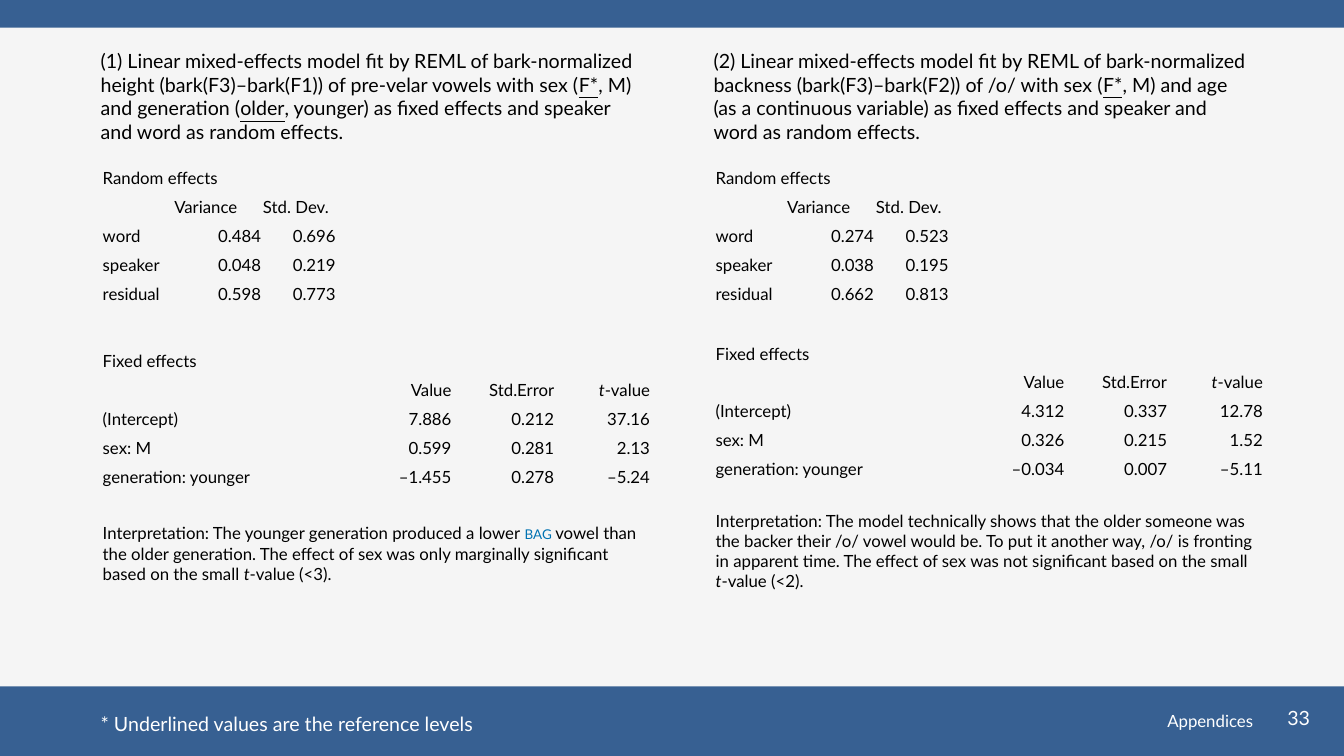
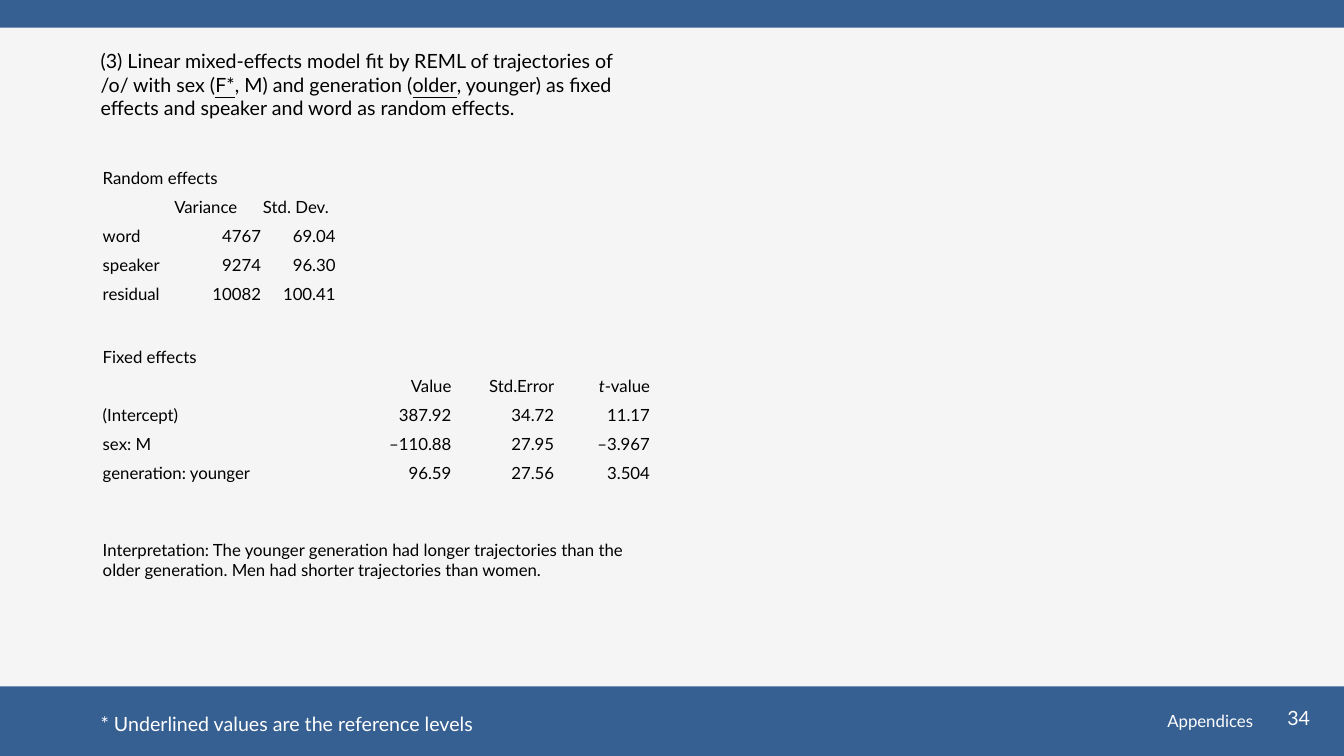
from pptx import Presentation
from pptx.dml.color import RGBColor
from pptx.enum.shapes import MSO_SHAPE
from pptx.enum.text import MSO_ANCHOR, MSO_AUTO_SIZE, PP_ALIGN
from pptx.util import Pt

RECT = MSO_SHAPE.RECTANGLE
TOP, MIDDLE, BOTTOM = MSO_ANCHOR.TOP, MSO_ANCHOR.MIDDLE, MSO_ANCHOR.BOTTOM
LEFT, CENTER, RIGHT = PP_ALIGN.LEFT, PP_ALIGN.CENTER, PP_ALIGN.RIGHT
GROW = MSO_AUTO_SIZE.SHAPE_TO_FIT_TEXT

WIDTH, HEIGHT = 960, 540
BLACK, WHITE, BLUE, PAPER, VOWEL = "000000", "FFFFFF", "376092", "F5F5F5", "0072B2"
NO_GRID = "{2D5ABB26-0587-4C30-8999-92F81FD0307C}"

# Page geometry, in points
COLUMNS = (64.8, 502.6)
COLUMN_W = 400.4
TABLE_INDENT = 7.9
CAPTION_Y, RANDOM_Y = 31.7, 113.8
ROW_H = 20.7
RANDOM_COLS = (51.1, 63.4, 53.3)
FIXED_COLS = (192.2, 58.3, 73.4, 68.4)

# Runs are plain strings or (text, style) pairs
UNDERLINE, ITALIC, SMALL_CAPS = "underline", "italic", "small caps"
SEX = ("F*", UNDERLINE)
OLDER = ("older", UNDERLINE)
T = ("t", ITALIC)


def rgb(value):
    return RGBColor.from_string(value)


class Deck:
    """Holds the style and the current slide."""
    font = "Lato"

    def __init__(self):
        self.prs = Presentation()
        self.prs.slide_width, self.prs.slide_height = Pt(WIDTH), Pt(HEIGHT)
        fill = self.prs.slide_master.background.fill
        fill.solid()
        fill.fore_color.rgb = rgb(PAPER)

    def slide(self, number):
        self.s = self.prs.slides.add_slide(self.prs.slide_layouts[6])
        self.band(0, 19.7)
        self.band(490.3, HEIGHT - 490.3)
        self.text(902.2, 500.4, 51, 28.8, [str(number)], color=WHITE, align=CENTER)
        self.text(578.2, 500.4, 324, 28.8, ["Appendices"], 12, WHITE, RIGHT, MIDDLE)
        self.text(COLUMNS[0], 504.7, 288, 24.5,
                  ["* Underlined values are the reference levels"],
                  color=WHITE, grow=True)

    def band(self, y, h):
        sp = self.s.shapes.add_shape(RECT, Pt(0), Pt(y), Pt(WIDTH), Pt(h))
        sp.shadow.inherit = False
        sp.fill.solid()
        sp.fill.fore_color.rgb = rgb(BLUE)
        sp.line.fill.background()

    def add_runs(self, p, runs, size, color, align):
        p.alignment = align
        for item in runs:
            text, style = (item, None) if isinstance(item, str) else item
            r = p.add_run()
            r.text = text
            f = r.font
            f.name, f.size, f.color.rgb = self.font, Pt(size), rgb(color)
            if style == UNDERLINE:
                f.underline = True
            elif style == ITALIC:
                f.italic = True
            elif style == SMALL_CAPS:
                f.color.rgb = rgb(VOWEL)
                r._r.get_or_add_rPr().set("cap", "small")

    def text(self, x, y, w, h, runs, size=14, color=BLACK, align=LEFT,
             anchor=TOP, grow=False):
        tf = self.s.shapes.add_textbox(Pt(x), Pt(y), Pt(w), Pt(h)).text_frame
        tf.word_wrap = True
        tf.vertical_anchor = anchor
        if grow:
            tf.auto_size = GROW
        self.add_runs(tf.paragraphs[0], runs, size, color, align)

    def table(self, x, y, widths, rows, header_align, note_h=None):
        """Draw rows of cells; a row with a single cell spans the table."""
        heights = [ROW_H] * len(rows)
        if note_h:
            heights[-1] = note_h
        frame = self.s.shapes.add_table(len(rows), len(widths), Pt(x), Pt(y),
                                        Pt(sum(widths)), Pt(sum(heights)))
        table = frame.table
        table.first_row = table.horz_banding = False
        table._tbl.tblPr[0].text = NO_GRID
        for column, w in zip(table.columns, widths):
            column.width = Pt(w)
        for i, (cells, h) in enumerate(zip(rows, heights)):
            table.rows[i].height = Pt(h)
            if len(cells) == 1:
                table.cell(i, 0).merge(table.cell(i, len(widths) - 1))
            for j in range(len(widths)):
                align = LEFT if j == 0 else header_align if i == 1 else RIGHT
                self.cell(table.cell(i, j), cells[j] if j < len(cells) else [], align)

    def cell(self, cell, runs, align):
        cell.fill.background()
        cell.vertical_anchor = BOTTOM
        cell.margin_left = cell.margin_right = cell.margin_top = Pt(0.7)
        cell.margin_bottom = Pt(0)
        p = cell.text_frame.paragraphs[0]
        self.add_runs(p, [runs] if isinstance(runs, str) else runs, 12, BLACK, align)
        if not runs:  # keeps empty cells from stretching the row
            p._p.get_or_add_endParaRPr().set("sz", "1200")

    def model(self, x, caption, caption_h, random, fixed, fixed_y, note, note_h):
        """One column: caption, random effects, fixed effects, interpretation."""
        self.text(x, CAPTION_Y, COLUMN_W, caption_h, caption, grow=True)
        table_x = x + TABLE_INDENT
        names = ("word", "speaker", "residual")
        rows = [["Random effects"], [[], "Variance", "Std. Dev."]]
        rows += [[name, *values] for name, values in zip(names, random)]
        self.table(table_x, RANDOM_Y, RANDOM_COLS, rows, LEFT)
        names = ("(Intercept)", "sex: M", "generation: younger")
        rows = [["Fixed effects"], [[], "Value", "Std.Error", [T, "-value"]]]
        rows += [[name, *values] for name, values in zip(names, fixed)]
        self.table(table_x, fixed_y, FIXED_COLS, rows + [[note]], RIGHT, note_h)


def main():
    deck = Deck()

    # Height and backness models
    deck.slide(33)
    deck.model(
        COLUMNS[0],
        ["(1) Linear mixed-effects model fit by REML of bark-normalized height "
         "(bark(F3)–bark(F1)) of pre-velar vowels with sex (", SEX,
         ", M) and generation (", OLDER,
         ", younger) as fixed effects and speaker and word as random effects."], 74.9,
        [("0.484", "0.696"), ("0.048", "0.219"), ("0.598", "0.773")],
        [("7.886", "0.212", "37.16"), ("0.599", "0.281", "2.13"),
         ("–1.455", "0.278", "–5.24")], 244.5,
        ["Interpretation: The younger generation produced a lower ",
         ("bag ", SMALL_CAPS),
         "vowel than the older generation. The effect of sex was only marginally "
         "significant based on the small ", T, "-value (<3)."], 69.1)
    deck.model(
        COLUMNS[1],
        ["(2) Linear mixed-effects model fit by REML of bark-normalized backness "
         "(bark(F3)–bark(F2)) of /o/ with sex (", SEX,
         ", M) and age (as a continuous variable) as fixed effects and speaker and "
         "word as random effects."], 74.9,
        [("0.274", "0.523"), ("0.038", "0.195"), ("0.662", "0.813")],
        [("4.312", "0.337", "12.78"), ("0.326", "0.215", "1.52"),
         ("–0.034", "0.007", "–5.11")], 239,
        ["Interpretation: The model technically shows that the older someone was the "
         "backer their /o/ vowel would be. To put it another way, /o/ is fronting in "
         "apparent time. The effect of sex was not significant based on the small ",
         T, "-value (<2)."], 79.9)

    # Trajectory model
    deck.slide(34)
    deck.model(
        COLUMNS[0],
        ["(3) Linear mixed-effects model fit by REML of trajectories of /o/ with sex (",
         SEX, ", M) and generation (", OLDER,
         ", younger) as fixed effects and speaker and word as random effects."], 58.3,
        [("4767", "69.04"), ("9274", "96.30"), ("10082", "100.41")],
        [("387.92", "34.72", "11.17"), ("–110.88", "27.95", "–3.967"),
         ("96.59", "27.56", "3.504")], 241.6,
        ["Interpretation: The younger generation had longer trajectories than the "
         "older generation. Men had shorter trajectories than women."], 69.1)

    deck.prs.save("out.pptx")


if __name__ == "__main__":
    main()
